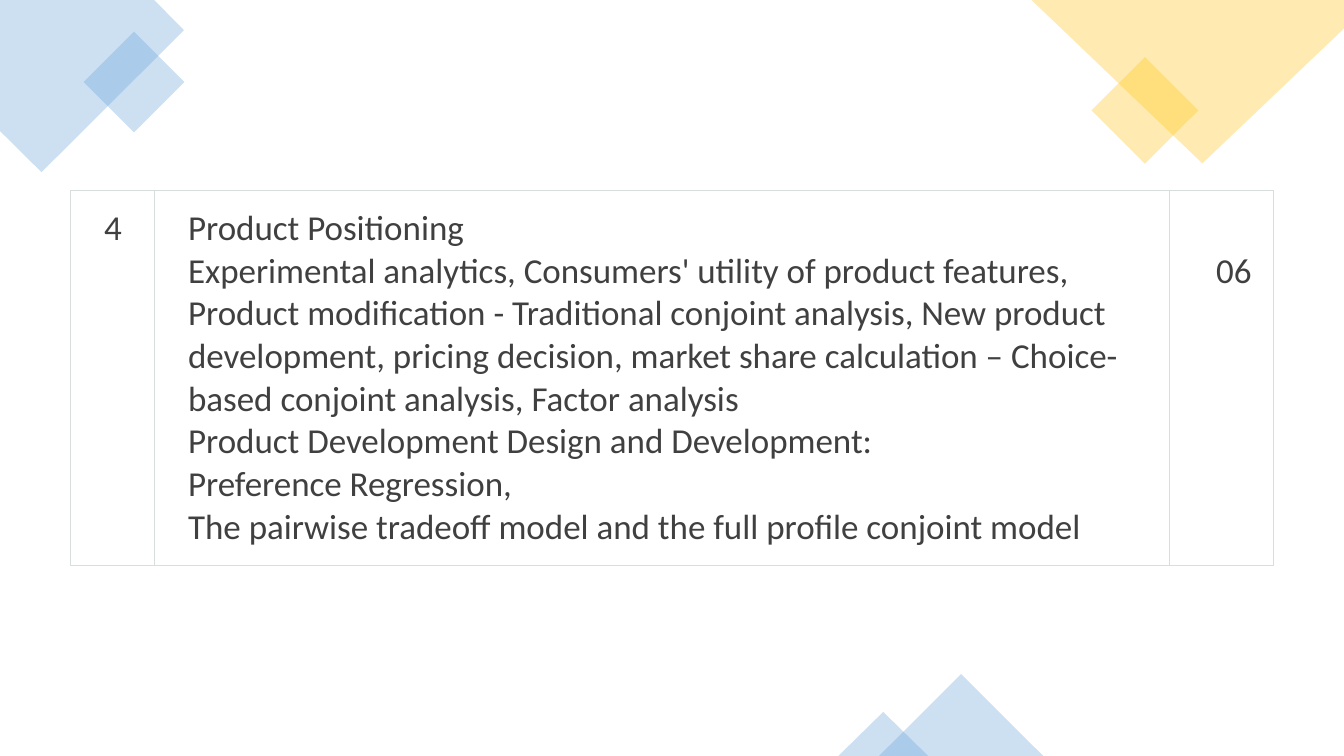
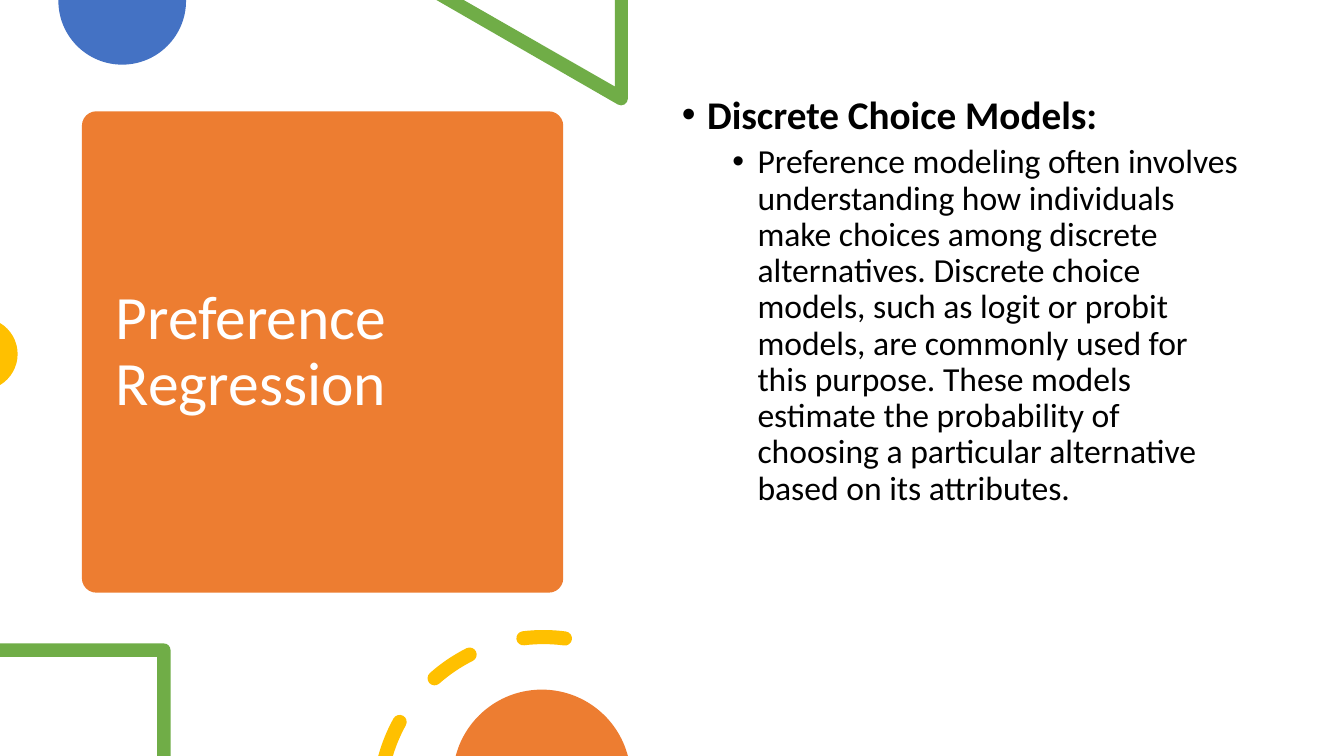
import math

import pptx
import pptx.dml.color
import pptx.enum.shapes
import pptx.enum.text
import pptx.oxml
import pptx.oxml.ns
import pptx.util

# Grid: 160 columns by 90 rows of square cells
COLUMNS, ROWS = 160, 90
CELL = pptx.util.Inches(1) // 12
FONT = "Calibri"
COLORS = {
    "sky": "5B9BD5",
    "gold": "FFC000",
    "blue": "4472C4",
    "green": "70AD47",
    "orange": "ED7D31",
    "white": "FFFFFF",
    "black": "000000",
    "gray": "404040",
    "border": "D8DEDC",
}
SHAPES = pptx.enum.shapes.MSO_SHAPE
ALIGN = pptx.enum.text.PP_ALIGN
ANCHOR = pptx.enum.text.MSO_ANCHOR

TOPIC_LINES = [
    "Product Positioning",
    "Experimental analytics, Consumers' utility of product features, "
    "Product modification - Traditional conjoint analysis, New product "
    "development, pricing decision, market share calculation – Choice- "
    "based conjoint analysis, Factor analysis",
    "Product Development Design and Development:",
    "Preference Regression,",
    "The pairwise tradeoff model and the full profile conjoint model",
]
CHOICE_MODELS = (
    "Preference modeling often involves understanding how individuals make "
    "choices among discrete alternatives. Discrete choice models, such as "
    "logit or probit models, are commonly used for this purpose. These models "
    "estimate the probability of choosing a particular alternative based on "
    "its attributes."
)


def grid(*cells):
    return [pptx.util.Emu(round(cell * CELL)) for cell in cells]


def rgb(color):
    return pptx.dml.color.RGBColor.from_string(COLORS[color])


def make_xml(text):
    namespace = pptx.oxml.ns.nsdecls("a")
    return pptx.oxml.parse_xml(text.replace("NS", namespace, 1))


# Shapes
def paint(shape, color, opacity=100):
    shape.shadow.inherit = False
    shape.line.fill.background()
    shape.fill.solid()
    shape.fill.fore_color.rgb = rgb(color)
    if opacity < 100:
        tag = pptx.oxml.ns.qn("a:srgbClr")
        fill_color = next(shape._element.spPr.iter(tag))
        fill_color.append(make_xml(f'<a:alpha NS val="{opacity * 1000}"/>'))


def add_preset(slide, kind, box, color, opacity=100, rotation=0):
    shape = slide.shapes.add_shape(kind, *grid(*box))
    shape.rotation = rotation
    paint(shape, color, opacity)
    return shape


def add_outline(slide, contours, color, opacity=100):
    """Fill closed contours, whose steps are a point or a curve's three points."""
    builder = None
    for start, *steps in contours:
        if builder is None:
            builder = slide.shapes.build_freeform(*grid(*start))
        else:
            builder.move_to(*grid(*start))
        points = [grid(*step[i:i + 2]) for step in steps for i in range(0, len(step), 2)]
        builder.add_line_segments(points, close=True)
    shape = builder.convert_to_shape()
    bend_curves(shape, [step for contour in contours for step in contour[1:]])
    paint(shape, color, opacity)


def bend_curves(shape, steps):
    """Join each curve's three straight segments into one Bézier segment."""
    segments = iter(list(shape._element.iter(pptx.oxml.ns.qn("a:lnTo"))))
    for step in steps:
        parts = [next(segments) for _ in range(len(step) // 2)]
        if len(parts) == 3:
            curve = make_xml("<a:cubicBezTo NS/>")
            parts[0].addprevious(curve)
            for part in parts:
                curve.append(part[0])
                part.getparent().remove(part)


def on_circle(center, radius, angle):
    """Point at an angle in degrees, running clockwise from the right."""
    angle = math.radians(angle)
    return center[0] + radius * math.cos(angle), center[1] + radius * math.sin(angle)


def sweep(center, radius, start, end):
    """Curves of at most a quarter turn each, from start to end."""
    count = math.ceil(abs(end - start) / 90)
    turn = (end - start) / count
    handle = 4 / 3 * math.tan(math.radians(turn / 4))
    curves = []
    for index in range(count):
        first = start + index * turn
        (x1, y1), (x2, y2) = (on_circle(center, radius, a) for a in (first, first + turn))
        curves.append((x1 - handle * (y1 - center[1]), y1 + handle * (x1 - center[0]),
                       x2 + handle * (y2 - center[1]), y2 - handle * (x2 - center[0]),
                       x2, y2))
    return curves


def arc(center, radius, start, end):
    return [on_circle(center, radius, start)] + sweep(center, radius, start, end)


def round_dash(center, radius, half_width, start, end):
    """Curved dash with round ends; without a start it rises from the bottom edge."""
    outer, inner = radius + half_width, radius - half_width
    starts, cap = (start, start), []
    if start is None:
        starts = [180 + math.degrees(math.asin((center[1] - ROWS) / r))
                  for r in (outer, inner)]
    else:
        cap = sweep(on_circle(center, radius, start), half_width, start + 180, start + 360)
    return (arc(center, outer, starts[0], end)
            + sweep(on_circle(center, radius, end), half_width, end, end + 180)
            + sweep(center, inner, end, starts[1]) + cap)


# Text
def style(paragraph, size, color, bold=False):
    paragraph.font.name = FONT
    paragraph.font.size = pptx.util.Pt(size)
    paragraph.font.bold = bold
    paragraph.font.color.rgb = rgb(color)


def write_lines(text_frame, lines):
    """Put each line in a paragraph of its own and return the paragraphs."""
    text_frame.text = "\n".join(lines)
    return text_frame.paragraphs


def add_text(slide, box, lines, anchor=ANCHOR.TOP):
    text_frame = slide.shapes.add_textbox(*grid(*box)).text_frame
    text_frame.word_wrap = True
    text_frame.vertical_anchor = anchor
    paragraphs = write_lines(text_frame, lines)
    for paragraph in paragraphs:
        paragraph.line_spacing = 0.9
    return paragraphs


def add_bullet(paragraph, indent):
    properties = paragraph._p.get_or_add_pPr()
    properties.set("marL", str(pptx.util.Inches(indent)))
    properties.set("indent", str(-pptx.util.Inches(0.25)))
    properties.append(make_xml('<a:buFont NS typeface="Arial"/>'))
    properties.append(make_xml('<a:buChar NS char="•"/>'))


# Table
def add_borders(cell):
    properties = cell._tc.get_or_add_tcPr()
    for position, side in enumerate("LRTB"):
        properties.insert(position, make_xml(
            f'<a:ln{side} NS w="{pptx.util.Pt(0.75)}"><a:solidFill>'
            f'<a:srgbClr val="{COLORS["border"]}"/></a:solidFill></a:ln{side}>'))


def add_topic_table(slide, left, top, widths, height, contents):
    frame = slide.shapes.add_table(
        1, len(widths), *grid(left, top, sum(widths), height))
    table = frame.table
    table.first_row = table.horz_banding = False
    for column, width in zip(table.columns, grid(*widths)):
        column.width = width
    for cell, lines in zip(table.rows[0].cells, contents):
        cell.fill.background()
        add_borders(cell)
        cell.margin_left, cell.margin_right = grid(4, 1.1)
        cell.margin_top = cell.margin_bottom = grid(2)[0]
        for paragraph in write_lines(cell.text_frame, lines):
            style(paragraph, 25, "gray")
    return table


# Slides
def build_topic_slide(slide):
    # Translucent corners
    add_outline(slide, [[(18.36, 0), (0, 0), (0, 15.6), (4.95, 20.5), (21.9, 3.6)]],
                "sky", 30)
    add_preset(slide, SHAPES.RECTANGLE, (11.72, 5.52, 8.48, 8.48), "sky", 30, 315)
    add_preset(slide, SHAPES.RECTANGLE, (131.8, 8.65, 9, 9), "gold", 30, 315)
    add_outline(slide, [[(COLUMNS, 0), (122.8, 0), (143.15, 19.45), (COLUMNS, 3.4)]],
                "gold", 30)
    for left, width, height in ((104.65, 19.55, 9.75), (99.8, 10.7, 5.25)):
        add_preset(slide, SHAPES.ISOSCELES_TRIANGLE,
                   (left, ROWS - height, width, height), "sky", 30)

    # Topic row, with the hours one line lower
    table = add_topic_table(slide, 8.4, 22.67, (10, 120.85, 12.4), 44.65,
                            [["4"], TOPIC_LINES, ["06"]])
    hours = table.cell(0, 2)
    hours.margin_top = grid(7.1)[0]
    hours.text_frame.paragraphs[0].alignment = ALIGN.CENTER


def build_regression_slide(slide):
    # Title card
    card = add_preset(slide, SHAPES.ROUNDED_RECTANGLE,
                      (9.75, 13.25, 57.3, 57.3), "orange")
    card.adjustments[0] = 0.03
    title, = add_text(slide, (12.6, 14.65, 51.7, 54.7),
                      ["Preference Regression"], ANCHOR.MIDDLE)
    style(title, 44, "white")

    # Shapes along the top and left edges
    add_outline(slide, [[(22.15, 0), (6.95, 0)] + arc((14.55, 0.1), 7.6, 180, 0)], "blue")
    add_outline(slide, [[(74.75, 0), (73.2, 0), (73.2, 10.3), (55.2, 0), (51.95, 0)]
                        + arc((73.95, 11.75), 0.8, 120, 0)], "green")
    add_outline(slide, [arc((-2.2, 42.15), 4.3, -59, 59)], "gold")

    # Bullets
    heading, detail = add_text(slide, (80, 10.77, 69, 64.2),
                               ["Discrete Choice Models:", CHOICE_MODELS])
    add_bullet(heading, 0.25)
    style(heading, 28, "black", bold=True)
    detail.level = 1
    detail.space_before = pptx.util.Pt(5)
    add_bullet(detail, 0.75)
    style(detail, 24, "black")

    # Shapes along the bottom edge
    add_outline(slide, [[(0, 76.6)] + arc((19.5, 77.4), 0.8, 270, 360)
                        + [(20.3, ROWS), (18.7, ROWS), (18.7, 78.2), (0, 78.2)]], "green")
    dashes = ((None, 208.9), (228.5, 243.3), (263, 277.5))
    add_outline(slide, [round_dash((64.7, 95.4), 19.56, 0.84, *dash) for dash in dashes],
                "gold")
    add_outline(slide, [arc((64.5, 92.7), 10.6, 194.76, 345.24)], "orange")


def main():
    presentation = pptx.Presentation()
    presentation.slide_width, presentation.slide_height = grid(COLUMNS, ROWS)
    blank = presentation.slide_layouts[6]
    for build in (build_topic_slide, build_regression_slide):
        build(presentation.slides.add_slide(blank))
    presentation.save("out.pptx")


if __name__ == "__main__":
    main()
